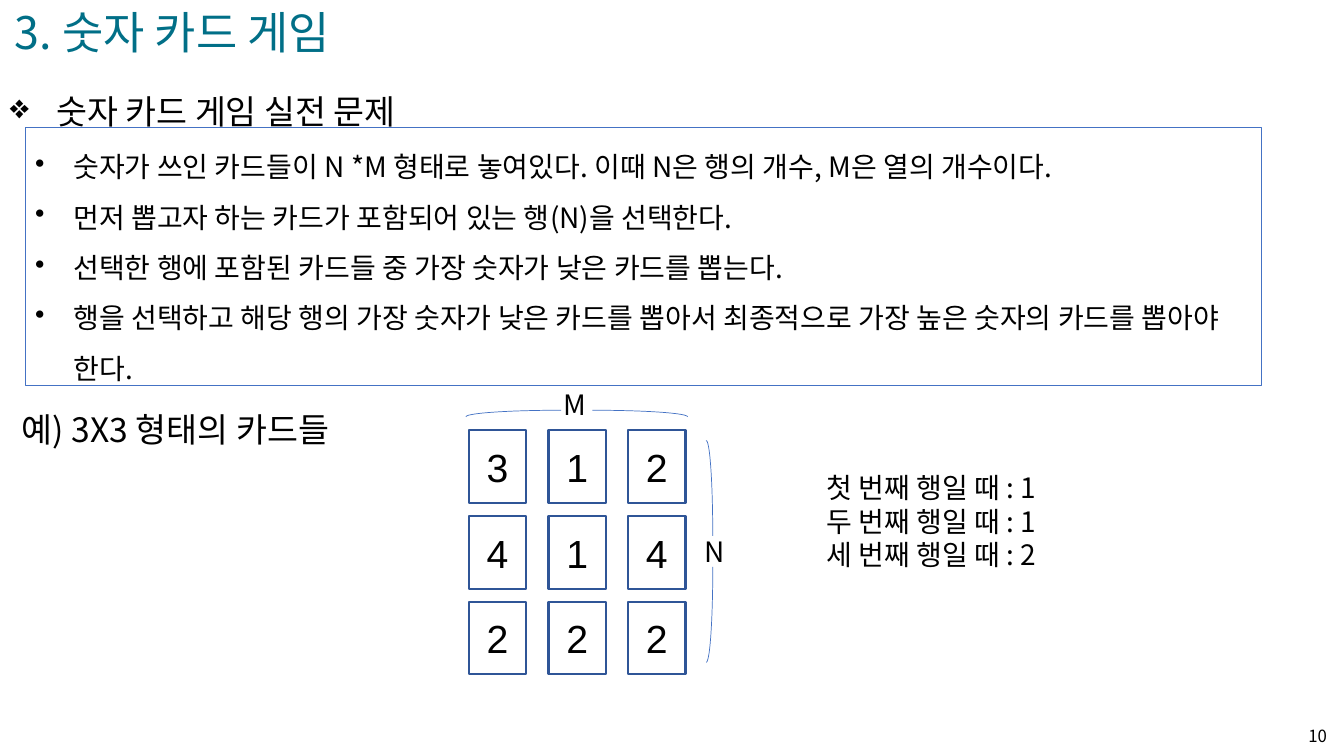
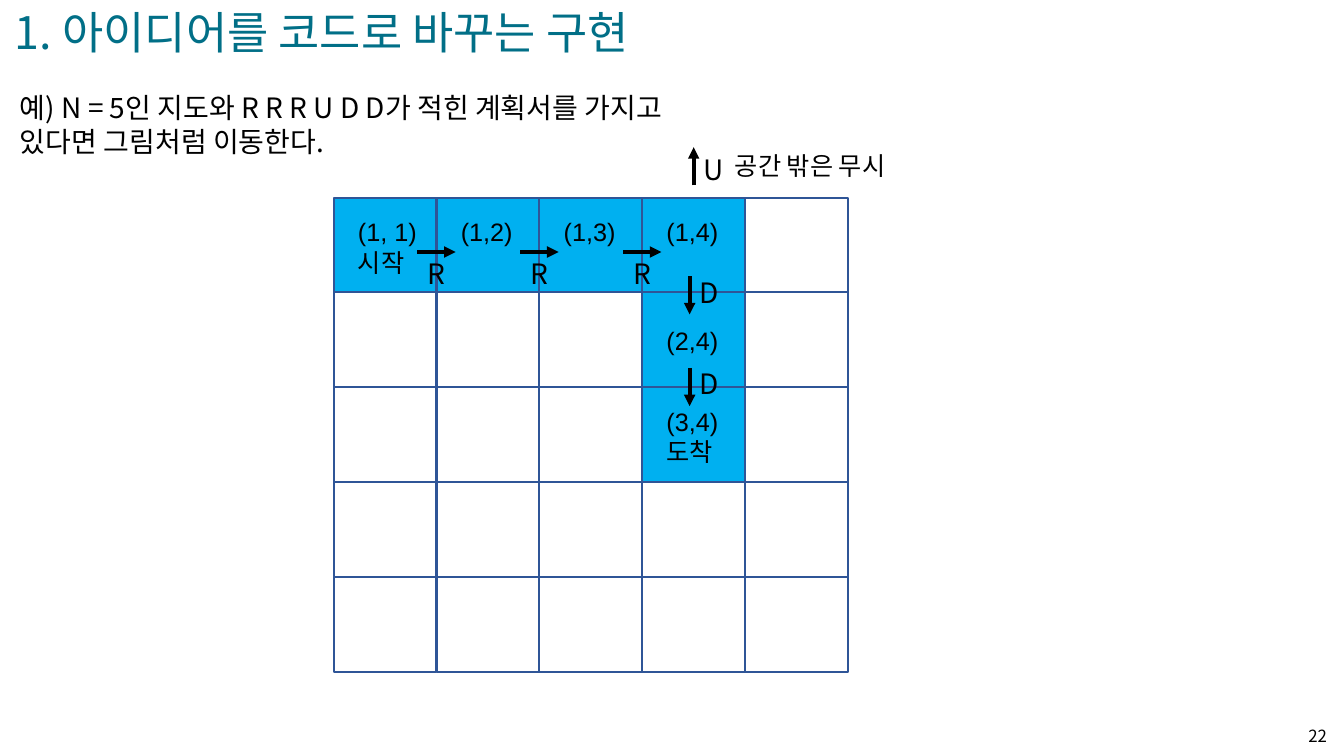
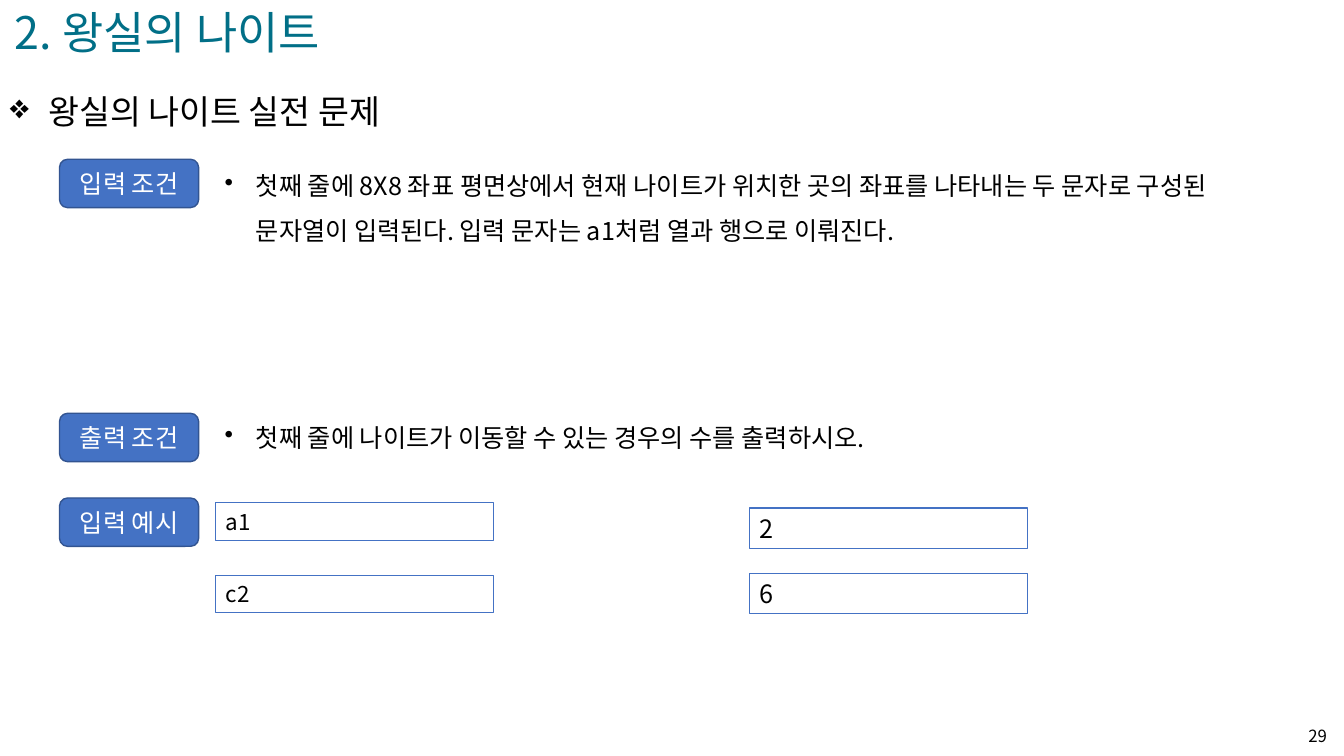
from lxml import etree
from pptx import Presentation
from pptx.dml.color import RGBColor
from pptx.enum import shapes, text
from pptx.oxml import ns
from pptx.util import Inches, Pt

COLORS = {
    "title": "016F87", "ink": "000000", "white": "FFFFFF", "blue": "4472C4",
    "badge_edge": "325491", "cell_edge": "2F5597", "route": "00B0F0",
}
KOREAN, LATIN, HEADING = "Noto Sans CJK KR", "Arial", "Roboto"
SHAPE, ALIGN, ANCHOR = shapes.MSO_SHAPE, text.PP_ALIGN, text.MSO_ANCHOR


def rgb(name):
    return RGBColor.from_string(COLORS[name])


def inches(box):
    return [Inches(length) for length in box]


def add_bullet(paragraph, mark, indent):
    props = paragraph._p.get_or_add_pPr()
    props.set("marL", str(Inches(indent)))
    props.set("indent", str(-Inches(indent)))
    etree.SubElement(props, ns.qn("a:buChar")).set("char", mark)


def write(shape, content, size=20, color="ink", face=KOREAN, align=ALIGN.LEFT,
          anchor=ANCHOR.TOP, spacing=None, bullet=None, indent=0.38,
          wrap=True, grow=True):
    """Fill a shape with one paragraph per line of content."""
    frame = shape.text_frame
    frame.text = content
    frame.word_wrap = wrap
    frame.vertical_anchor = anchor
    frame.auto_size = (text.MSO_AUTO_SIZE.SHAPE_TO_FIT_TEXT if grow
                       else text.MSO_AUTO_SIZE.NONE)
    for paragraph in frame.paragraphs:
        if bullet:
            add_bullet(paragraph, bullet, indent)
        paragraph.alignment = align
        if spacing:
            paragraph.line_spacing = spacing
        for run in paragraph.runs:
            run.font.size = Pt(size)
            run.font.name = face
            run.font.color.rgb = rgb(color)
            east_asian = etree.SubElement(run._r.get_or_add_rPr(), ns.qn("a:ea"))
            east_asian.set("typeface", KOREAN)


def add_label(slide, box, content, **style):
    write(slide.shapes.add_textbox(*inches(box)), content, **style)


def add_box(slide, box, fill=None, edge="blue", width=0.75, kind=SHAPE.RECTANGLE):
    shape = slide.shapes.add_shape(kind, *inches(box))
    shape.shadow.inherit = False
    if fill:
        shape.fill.solid()
        shape.fill.fore_color.rgb = rgb(fill)
    else:
        shape.fill.background()
    shape.line.color.rgb = rgb(edge)
    shape.line.width = Pt(width)
    return shape


def add_quarter_arc(slide, box, start):
    """Draw a quarter of the ellipse in box, clockwise from start degrees."""
    arc = add_box(slide, box, width=0.5, kind=SHAPE.ARC)
    for position, degrees in enumerate((start, (start + 90) % 360)):
        arc.adjustments[position] = degrees * 0.6


def add_arrow(slide, x1, y1, x2, y2):
    arrow = slide.shapes.add_connector(shapes.MSO_CONNECTOR.STRAIGHT,
                                       *inches((x1, y1, x2, y2)))
    arrow.line.color.rgb = rgb("ink")
    arrow.line.width = Pt(2.75)
    etree.SubElement(arrow.line._get_or_add_ln(), ns.qn("a:tailEnd")).set("type", "triangle")
    etree.SubElement(arrow._element.spPr, ns.qn("a:effectLst"))


def add_badge(slide, top, content):
    badge = add_box(slide, (0.59, top, 1.38, 0.48), "blue", "badge_edge", 1,
                    SHAPE.ROUNDED_RECTANGLE)
    write(badge, content, size=18, color="white", align=ALIGN.CENTER,
          anchor=ANCHOR.MIDDLE, grow=False)


def start_slide(deck, title, title_width, number):
    slide = deck.slides.add_slide(deck.slide_layouts[6])
    add_label(slide, (12.69, 7.1, 0.57, 0.4), number, size=12,
              align=ALIGN.RIGHT, anchor=ANCHOR.MIDDLE, grow=False)
    add_label(slide, (0.05, 0, title_width, 0.64), title, size=32,
              color="title", wrap=False)
    return slide


def add_heading(slide, width, content, indent=0.38):
    add_label(slide, (0, 0.65, width, 0.61), content, size=24, face=HEADING,
              spacing=1.5, bullet="❖", indent=indent, wrap=False)


def build_card_game(deck):
    slide = start_slide(deck, "3. 숫자 카드 게임", 3.52, "10")
    add_heading(slide, 4.51, "숫자 카드 게임 실전 문제", indent=0.46)
    rules = (
        "숫자가 쓰인 카드들이 N *M 형태로 놓여있다. 이때 N은 행의 개수, M은 열의 개수이다.",
        "먼저 뽑고자 하는 카드가 포함되어 있는 행(N)을 선택한다.",
        "선택한 행에 포함된 카드들 중 가장 숫자가 낮은 카드를 뽑는다.",
        "행을 선택하고 해당 행의 가장 숫자가 낮은 카드를 뽑아서 "
        "최종적으로 가장 높은 숫자의 카드를 뽑아야 한다.",
    )
    write(add_box(slide, (0.25, 1.27, 12.26, 2.56)), "\n".join(rules),
          spacing=1.5, bullet="•")
    add_label(slide, (0.12, 4.01, 3.54, 0.52), "예) 3X3 형태의 카드들", size=24)

    for row, numbers in enumerate(("312", "414", "222")):
        for column, number in enumerate(numbers):
            card = add_box(slide, (4.65 + 0.79 * column, 4.27 + 0.85 * row, 0.57, 0.72),
                           "white", "cell_edge", 1.5)
            write(card, number, size=28, face=LATIN, align=ALIGN.CENTER,
                  anchor=ANCHOR.MIDDLE, grow=False)

    for left, start in ((4.62, 180), (4.93, 270)):
        add_quarter_arc(slide, (left, 4.07, 1.89, 0.13), start)
    for top, start in ((4.37, 270), (4.68, 0)):
        add_quarter_arc(slide, (6.94, top, 0.13, 1.89), start)
    add_label(slide, (5.49, 3.8, 1.17, 0.44), "M")
    add_label(slide, (6.89, 5.25, 1.17, 0.44), "N")
    add_label(slide, (8.1, 4.62, 2.81, 1.11),
              "첫 번째 행일 때 : 1\n두 번째 행일 때 : 1\n세 번째 행일 때 : 2")


def build_map_route(deck):
    slide = start_slide(deck, "1. 아이디어를 코드로 바꾸는 구현", 6.51, "22")
    cell_width, row_step = 1.02, 0.94
    # (row, column): text and its inset from the top of the cell
    route = {
        (0, 0): ("(1, 1)\n시작", 0.19), (0, 1): ("(1,2)", 0.19),
        (0, 2): ("(1,3)", 0.19), (0, 3): ("(1,4)", 0.19),
        (1, 3): ("(2,4)", 0.33), (2, 3): ("(3,4)\n도착", 0.19),
    }
    for row in range(5):
        for column in range(5):
            visited = (row, column) in route
            cell = add_box(slide, (3.31 + cell_width * column, 1.96 + row_step * row,
                                   cell_width, 0.95),
                           "route" if visited else "white", "cell_edge", 1.5)
            if visited:
                content, inset = route[row, column]
                write(cell, content, size=18, face=LATIN, grow=False)
                cell.text_frame.margin_left = Inches(0.24)
                cell.text_frame.margin_top = Inches(inset)

    add_label(slide, (0.1, 0.85, 7.37, 0.77),
              "예) N = 5인 지도와 R R R U D D가 적힌 계획서를 가지고 있다면 그림처럼 이동한다.")
    length = 0.38
    moves = [("R", 4.14 + cell_width * step, 2.5, length, 0, 2.5) for step in range(3)]
    moves += [("U", 6.88, 1.84, 0, -length, 1.46),
              ("D", 6.84, 2.74, 0, length, 2.68),
              ("D", 6.84, 3.65, 0, length, 3.59)]
    for letter, x, y, dx, dy, label_top in moves:
        add_arrow(slide, x, y, x + dx, y + dy)
        add_label(slide, (x, label_top, 0.32, 0.44), letter)
    add_label(slide, (7.19, 1.44, 2.03, 0.4), "공간 밖은 무시", size=18)


def build_royal_knight(deck):
    slide = start_slide(deck, "2. 왕실의 나이트", 3.4, "29")
    add_heading(slide, 4.28, "왕실의 나이트 실전 문제")
    for top, name in ((1.58, "입력 조건"), (4.1, "출력 조건"), (4.94, "입력 예시")):
        add_badge(slide, top, name)
    add_label(slide, (2.13, 1.49, 10.87, 0.95),
              "첫째 줄에 8X8 좌표 평면상에서 현재 나이트가 위치한 곳의 좌표를 나타내는 "
              "두 문자로 구성된 문자열이 입력된다. 입력 문자는 a1처럼 열과 행으로 이뤄진다.",
              size=18, spacing=1.5, bullet="•", indent=0.31)
    add_label(slide, (2.13, 4.14, 7.29, 0.4),
              "첫째 줄에 나이트가 이동할 수 있는 경우의 수를 출력하시오.",
              size=18, bullet="•", indent=0.31, wrap=False)
    examples = (("a1", 2.14, 4.99, 0.37, 16), ("c2", 2.14, 5.71, 0.37, 16),
                ("2", 7.43, 5.04, 0.4, 18), ("6", 7.43, 5.69, 0.4, 18))
    for value, left, top, height, size in examples:
        write(add_box(slide, (left, top, 2.76, height)), value, size=size)


def main():
    deck = Presentation()
    deck.slide_width, deck.slide_height = Inches(13.33), Inches(7.5)
    build_card_game(deck)
    build_map_route(deck)
    build_royal_knight(deck)
    deck.save("out.pptx")


if __name__ == "__main__":
    main()
